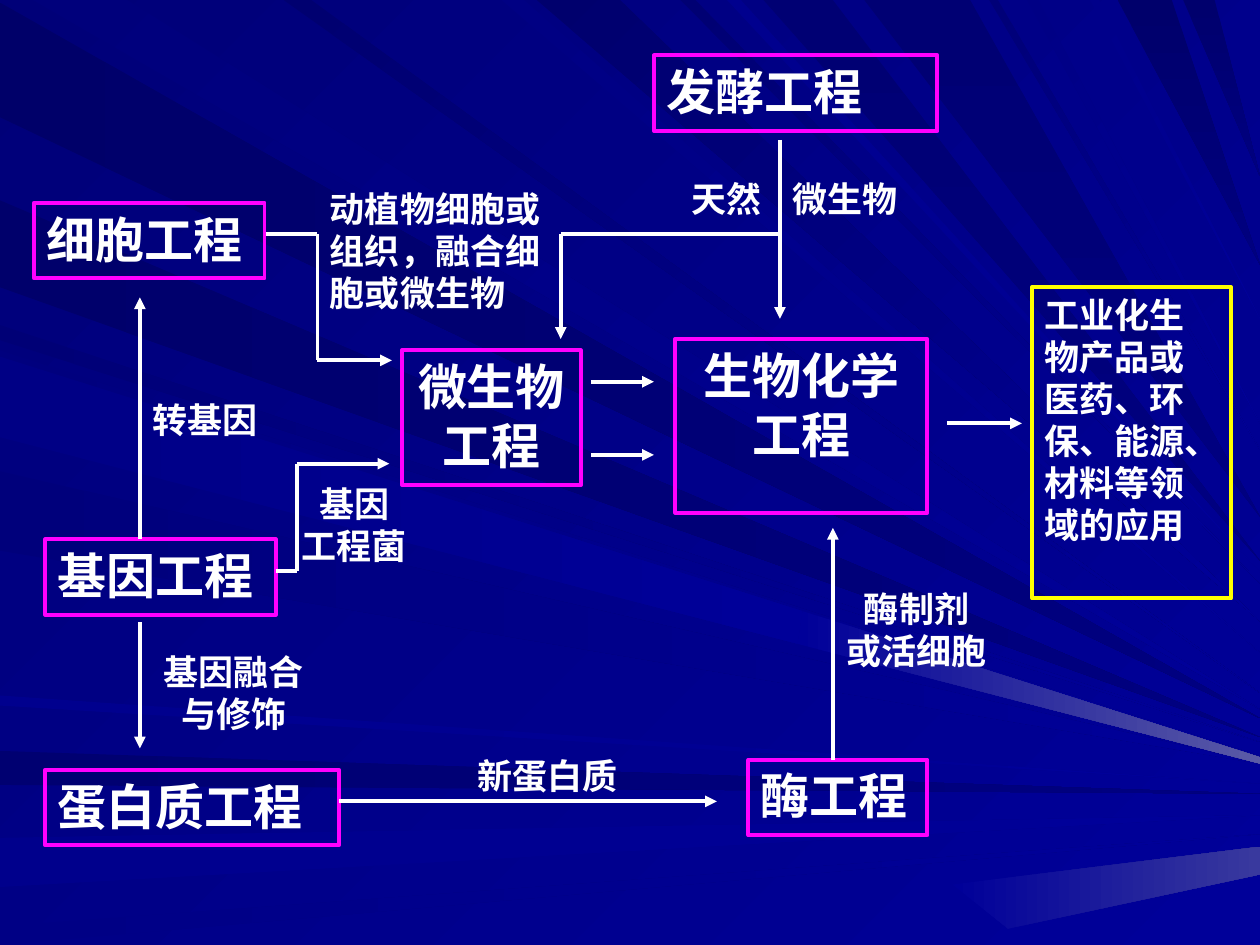
from dataclasses import dataclass
from itertools import pairwise
from typing import NamedTuple

from lxml import etree
from pptx import Presentation
from pptx.dml.color import RGBColor
from pptx.enum.shapes import MSO_CONNECTOR, MSO_SHAPE
from pptx.enum.text import MSO_ANCHOR, PP_ALIGN
from pptx.oxml.ns import qn
from pptx.util import Inches, Pt

RECTANGLE = MSO_SHAPE.RECTANGLE
STRAIGHT = MSO_CONNECTOR.STRAIGHT
TOP = MSO_ANCHOR.TOP
LEFT, CENTER = PP_ALIGN.LEFT, PP_ALIGN.CENTER
SLIDE_WIDTH, SLIDE_HEIGHT = 10, 7.5


@dataclass(frozen=True)
class Theme:
    font: str = "Times New Roman"
    node_size: int = 28
    label_size: int = 20
    line_width: float = 2.25
    text: str = "FFFFFF"
    node: str = "FF00FF"
    result: str = "FFFF00"
    backdrop: str = "000078"
    navy: str = "000080"
    bright: str = "000099"
    glow: str = "5A5AA6"
    haze: str = "39399E"


THEME = Theme()


class Ray(NamedTuple):
    """Triangle from a span of the left or top edge to a tip on the right edge."""
    near: float
    far: float
    tip: float
    start: str
    end: str = THEME.bright


class Caption(NamedTuple):
    text: str
    left: float
    top: float
    width: float
    height: float
    alignment: PP_ALIGN = LEFT
    size: int = THEME.label_size
    border: str | None = None


class Route(NamedTuple):
    """Path whose legs alternate between horizontal and vertical."""
    x: float
    y: float
    stops: list[float]
    horizontal: bool = True


LEFT_RAYS = [
    Ray(0.02, 0.93, 5.7, "000069", THEME.navy),
    Ray(5.96, 6.23, 6.3, "000071", THEME.navy),
    Ray(6.65, 7.04, 6.47, "00008C"),
    Ray(7.35, 7.5, 6.62, "000085"),
    Ray(2.58, 2.7, 5.89, "000076"),
    Ray(1.59, 2.28, 5.85, "00006B", THEME.navy),
    Ray(2.78, 3.42, 6, "00007E"),
    Ray(3.74, 4.37, 6.06, "00007B"),
    Ray(5.52, 5.6, 6.22, "00008E"),
]
TOP_RAYS = [
    Ray(0.26, 1.01, 5.63, "00007B"),
    Ray(3.98, 4.16, 5.18, "000083"),
    Ray(4.26, 4.92, 4.93, "00006D"),
    Ray(5.4, 5.52, 4.63, "000073"),
    Ray(6.06, 6.61, 4.45, "000073", THEME.navy),
    Ray(8.87, 9.3, 2.1, "00006B", THEME.navy),
    Ray(9.39, 9.64, 1.4, "00006D", THEME.navy),
    Ray(2.25, 2.47, 5.5, "000070"),
    Ray(5.77, 5.88, 4.54, "00008E"),
    Ray(6.86, 7.7, 4.1, "000073", THEME.navy),
    Ray(7.85, 7.92, 3.57, "000078"),
    Ray(8.15, 8.24, 3.36, "000085"),
    Ray(8.65, 8.72, 2.53, "00008A"),
]


def node(text: str, left: float, top: float, width: float, height: float = 0.6,
         alignment: PP_ALIGN = LEFT) -> Caption:
    return Caption(text, left, top, width, height, alignment, THEME.node_size, THEME.node)


def label(text: str, left: float, top: float, width: float, lines: int = 1) -> Caption:
    """Borderless caption; two-line labels are centred."""
    alignment = CENTER if lines == 2 else LEFT
    return Caption(text, left, top, width, 0.1 + lines / 3, alignment)


CAPTIONS = [
    node("酶工程", 5.94, 6.03, 1.42),
    node("蛋白质工程", 0.36, 6.11, 2.33),
    node("细胞工程", 0.27, 1.61, 1.83),
    node("基因工程", 0.36, 4.28, 1.83),
    node("发酵工程", 5.19, 0.44, 2.25),
    node("生物化学 工程", 5.36, 2.69, 2, 1.38, CENTER),
    label("天然\t微生物", 5.39, 1.36, 1.92),
    label("动植物细胞或组织，融合细胞或微生物", 2.52, 1.44, 1.92, 3),
    label("转基因", 1.11, 3.11, 1.08),
    label("基因 工程菌", 2.27, 3.78, 1.08, 2),
    label("基因融合与修饰", 1.19, 5.11, 1.33, 2),
    label("新蛋白质", 3.69, 5.94, 1.5),
    label("酶制剂 或活细胞", 6.61, 4.61, 1.33, 2),
    Caption("工业化生物产品或医药、环保、能源、材料等领域的应用",
            8.19, 2.28, 1.58, 2.47, border=THEME.result),
    node("微生物工程", 3.19, 2.78, 1.42, 1.07, CENTER),
]

ROUTES = [
    Route(6.19, 1.11, [2.53], horizontal=False),
    Route(6.19, 1.86, [4.45, 2.69]),
    Route(1.11, 4.28, [2.36], horizontal=False),
    Route(1.11, 4.94, [5.94], horizontal=False),
    Route(2.69, 6.36, [5.69]),
    Route(6.61, 6.03, [4.19], horizontal=False),
    Route(7.52, 3.36, [8.11]),
    Route(4.69, 3.03, [5.19]),
    Route(4.69, 3.61, [5.19]),
    Route(2.11, 1.86, [2.52, 2.86, 3.11]),
    Route(2.19, 4.53, [2.36, 3.68, 3.09]),
]


def set_gradient(fill, start: str, end: str, angle: int) -> None:
    """Apply a linear gradient with a clockwise angle."""
    fill.gradient()
    fill.gradient_angle = -angle % 360
    for stop, color in zip(fill.gradient_stops, (start, end)):
        stop.color.rgb = RGBColor.from_string(color)


def set_line(line, color: str) -> None:
    line.color.rgb = RGBColor.from_string(color)
    line.width = Pt(THEME.line_width)


def draw_polygon(slide, points: list[tuple[float, float]], start: str, end: str,
                 angle: int = 0) -> None:
    first, *rest = [(Inches(x), Inches(y)) for x, y in points]
    builder = slide.shapes.build_freeform(*first)
    builder.add_line_segments(rest, close=True)
    shape = builder.convert_to_shape()
    shape.shadow.inherit = False
    shape.line.fill.background()
    set_gradient(shape.fill, start, end, angle)


def draw_background(slide) -> None:
    set_gradient(slide.background.fill, THEME.backdrop, THEME.bright, 45)
    for ray in LEFT_RAYS:
        points = [(0, ray.near), (0, ray.far), (SLIDE_WIDTH, ray.tip)]
        draw_polygon(slide, points, ray.start, ray.end)
    for ray in TOP_RAYS:
        points = [(ray.near, 0), (ray.far, 0), (SLIDE_WIDTH, ray.tip)]
        angle = 90 if ray.end == THEME.navy else 45
        draw_polygon(slide, points, ray.start, ray.end, angle)
    upper, lower = (6.37, 4.85), (6.33, 5.11)
    draw_polygon(slide, [(0, 2.83), (0, 3.47), lower, upper], "000085", THEME.bright)
    draw_polygon(slide, [upper, lower, (10, 6.06), (10, 6.01)], THEME.bright, THEME.glow)
    draw_polygon(slide, [(10, 6.94), (10, 6.72), (7.56, 7.02), (8, 7.37)],
                 THEME.bright, THEME.haze)


def draw_caption(slide, caption: Caption) -> None:
    box = [Inches(value) for value in caption[1:5]]
    if caption.border:
        shape = slide.shapes.add_shape(RECTANGLE, *box)
        shape.shadow.inherit = False
        shape.fill.background()
        set_line(shape.line, caption.border)
    else:
        shape = slide.shapes.add_textbox(*box)
    frame = shape.text_frame
    frame.word_wrap = True
    frame.vertical_anchor = TOP
    paragraph = frame.paragraphs[0]
    paragraph.text = caption.text
    paragraph.alignment = caption.alignment
    if "\t" in caption.text:
        tabs = etree.SubElement(paragraph._p.get_or_add_pPr(), qn("a:tabLst"))
        etree.SubElement(tabs, qn("a:tab"), pos=str(Inches(0.8)), algn="l")
    paragraph.font.name = THEME.font
    paragraph.font.size = Pt(caption.size)
    paragraph.font.bold = True
    paragraph.font.color.rgb = RGBColor.from_string(THEME.text)


def draw_route(slide, route: Route) -> None:
    points = [(route.x, route.y)]
    horizontal = route.horizontal
    for stop in route.stops:
        x, y = points[-1]
        points.append((stop, y) if horizontal else (x, stop))
        horizontal = not horizontal
    for start, end in pairwise(points):
        ends = [Inches(value) for value in (*start, *end)]
        connector = slide.shapes.add_connector(STRAIGHT, *ends)
        set_line(connector.line, THEME.text)
        etree.SubElement(connector._element.spPr, qn("a:effectLst"))
    etree.SubElement(connector.line._get_or_add_ln(), qn("a:tailEnd"), type="triangle")


def main() -> None:
    presentation = Presentation()
    presentation.slide_width = Inches(SLIDE_WIDTH)
    presentation.slide_height = Inches(SLIDE_HEIGHT)
    slide = presentation.slides.add_slide(presentation.slide_layouts[6])
    draw_background(slide)
    for caption in CAPTIONS:
        draw_caption(slide, caption)
    for route in ROUTES:
        draw_route(slide, route)
    presentation.save("out.pptx")


if __name__ == "__main__":
    main()
